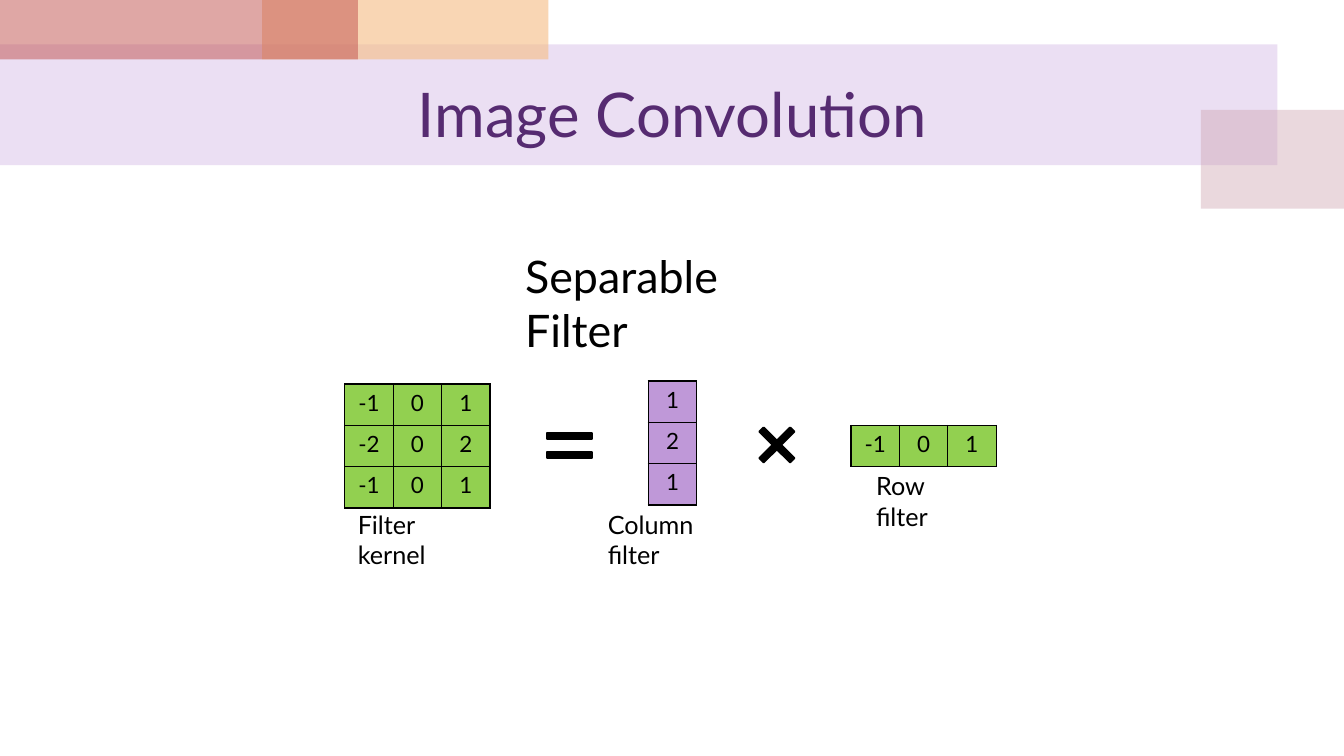
from lxml.etree import SubElement
from pptx import Presentation
from pptx.dml.color import RGBColor
from pptx.enum.shapes import MSO_SHAPE as Shape
from pptx.enum.text import MSO_ANCHOR as Anchor, PP_ALIGN as Align
from pptx.oxml.ns import qn
from pptx.util import Inches, Pt

FONT = "Lato"
BLACK, GREEN, LILAC, PURPLE = "000000", "92D050", "BF98D8", "562B71"
CELL_WIDTH, CELL_HEIGHT = 0.48, 0.41


def color(hex_text):
    """Turn a hex string into a colour."""
    return RGBColor.from_string(hex_text)


def write(frame, text, size=18, hex_text=BLACK, align=Align.LEFT):
    """Put one formatted paragraph in a text frame."""
    paragraph = frame.paragraphs[0]
    paragraph.alignment = align
    run = paragraph.add_run()
    run.text = text
    run.font.name = FONT
    run.font.size = Pt(size)
    run.font.color.rgb = color(hex_text)


def add_text(slide, text, left, top, width, height, anchor=Anchor.TOP, **style):
    """Add a wrapping text box."""
    box = slide.shapes.add_textbox(*map(Inches, (left, top, width, height)))
    box.text_frame.word_wrap = True
    box.text_frame.vertical_anchor = anchor
    write(box.text_frame, text, **style)


def add_shape(slide, kind, left, top, width, height, fill):
    """Add a filled preset shape with no outline or shadow."""
    shape = slide.shapes.add_shape(kind, *map(Inches, (left, top, width, height)))
    shape.shadow.inherit = False
    shape.fill.solid()
    shape.fill.fore_color.rgb = color(fill)
    shape.line.fill.background()
    return shape


def add_band(slide, left, top, width, height, fill, opacity):
    """Add a translucent rectangle; opacity is in percent."""
    band = add_shape(slide, Shape.RECTANGLE, left, top, width, height, fill)
    fill_color = band._element.spPr.find(qn("a:solidFill"))[0]
    SubElement(fill_color, qn("a:alpha")).set("val", str(opacity * 1000))


def add_operator(slide, kind, left, top, width, height, adjustments, rotation=0):
    """Add a black operator sign between the matrices."""
    sign = add_shape(slide, kind, left, top, width, height, BLACK)
    sign.line.color.rgb = color(BLACK)
    sign.line.width = Pt(1.5)
    sign.rotation = rotation
    for index, value in enumerate(adjustments):
        sign.adjustments[index] = value


def style_cell(cell, fill):
    """Give a cell thin black borders and a solid fill."""
    properties = cell._tc.get_or_add_tcPr()
    for side in ("lnL", "lnR", "lnT", "lnB"):
        line = SubElement(properties, qn(f"a:{side}"), w=str(Pt(1)))
        solid = SubElement(line, qn("a:solidFill"))
        SubElement(solid, qn("a:srgbClr"), val=BLACK)
    cell.fill.solid()
    cell.fill.fore_color.rgb = color(fill)


def add_matrix(slide, values, left, top, fill):
    """Add a table of equal cells holding the matrix values."""
    rows, columns = len(values), len(values[0])
    table = slide.shapes.add_table(
        rows, columns, Inches(left), Inches(top),
        Inches(columns * CELL_WIDTH), Inches(rows * CELL_HEIGHT)).table
    table.first_row = table.horz_banding = False
    for column in table.columns:
        column.width = Inches(CELL_WIDTH)
    for row, row_values in zip(table.rows, values):
        row.height = Inches(CELL_HEIGHT)
        for cell, value in zip(row.cells, row_values):
            style_cell(cell, fill)
            write(cell.text_frame, str(value), size=16, align=Align.CENTER)


def main():
    """Build the separable filter slide."""
    presentation = Presentation()
    presentation.slide_width = Inches(13.33)
    presentation.slide_height = Inches(7.5)
    slide = presentation.slides.add_slide(presentation.slide_layouts[6])

    add_band(slide, 0, 0.44, 12.67, 1.2, LILAC, 30)
    add_band(slide, 11.91, 1.09, 1.43, 0.98, "CC9EAC", 40)
    add_band(slide, 2.6, 0, 2.84, 0.59, "F5BC83", 60)
    add_band(slide, 0, 0, 3.55, 0.59, "C0504D", 50)
    add_text(slide, "Image Convolution", 0.67, 0.59, 12, 1.05, Anchor.MIDDLE,
             size=44, hex_text=PURPLE, align=Align.CENTER)
    add_text(slide, "Separable Filter", 5.11, 2.42, 3.12, 0.64, size=32)

    column_filter, row_filter = [1, 2, 1], [-1, 0, 1]
    kernel = [[a * b for b in row_filter] for a in column_filter]
    add_matrix(slide, kernel, 3.42, 3.81, GREEN)
    add_matrix(slide, [[value] for value in column_filter], 6.43, 3.78, LILAC)
    add_matrix(slide, [row_filter], 8.44, 4.22, GREEN)

    add_text(slide, "Filter kernel", 3.45, 5, 1.39, 0.4)
    add_text(slide, "Column filter", 5.93, 5, 1.47, 0.4)
    add_text(slide, "Row filter", 8.59, 4.62, 1.15, 0.4)

    add_operator(slide, Shape.MATH_EQUAL, 5.35, 4.19, 0.6, 0.46, [0.135, 0.267])
    add_operator(slide, Shape.CROSS, 7.49, 4.2, 0.43, 0.43, [0.432], rotation=45)

    presentation.save("out.pptx")


main()
